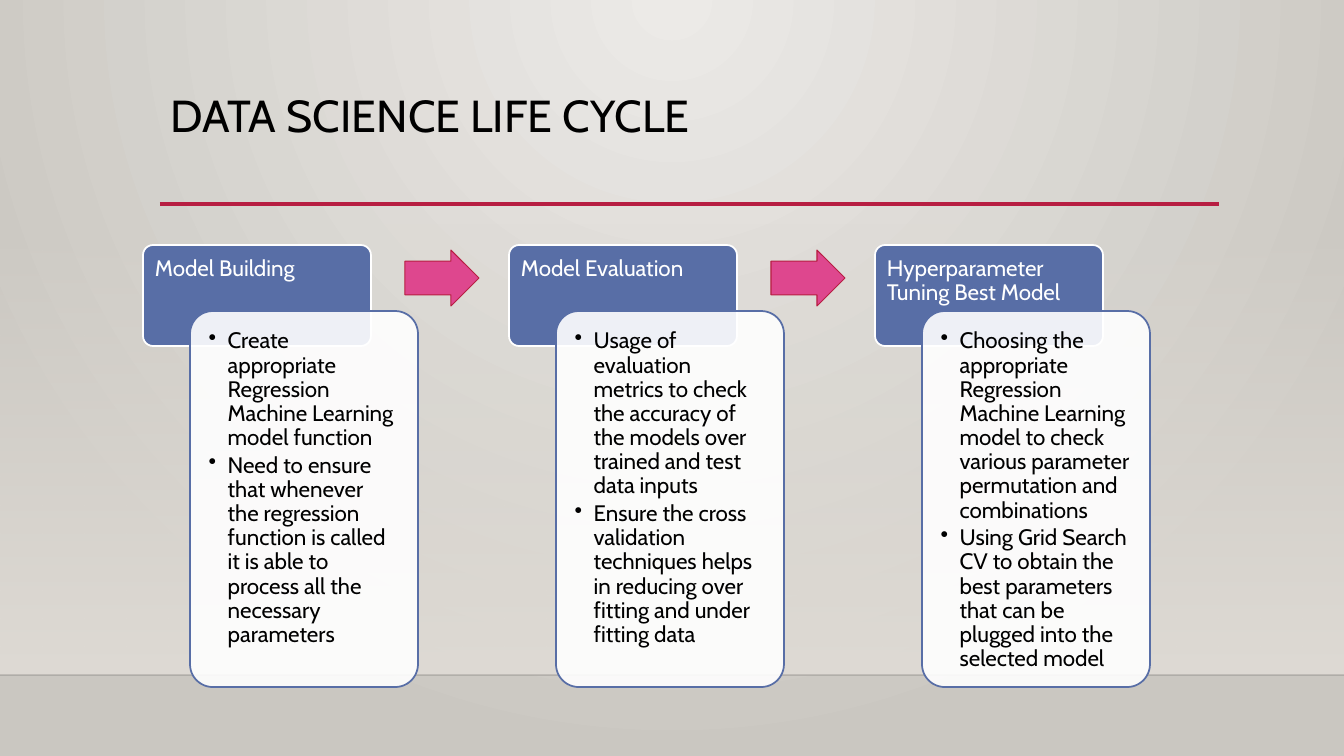
from lxml import etree
from pptx import Presentation
from pptx.dml.color import RGBColor
from pptx.enum.shapes import MSO_CONNECTOR, MSO_SHAPE
from pptx.enum.text import MSO_ANCHOR, PP_ALIGN
from pptx.oxml import parse_xml
from pptx.oxml.ns import nsdecls, qn
from pptx.util import Emu, Pt

PX = 914400 / 100.8
SLIDE_W, SLIDE_H = 1344, 756
HEADER_TOP, HEADER_H, BOX_W = 245, 101, 228
CARD_TOP, CARD_H, CARD_SHIFT = 311, 376, 47
ARROW_TOP, ARROW_W, ARROW_H, ARROW_SHIFT = 250, 74, 56, 262
FIRST_LEFT, STAGE_PITCH = 143, 366
BLUE, RED, PINK = "586EA6", "B71E42", "DE478E"

STAGES = [
    ("Model Building", [
        "Create appropriate Regression Machine Learning model function",
        "Need to ensure that whenever the regression function is called it is "
        "able to process all the necessary parameters"]),
    ("Model Evaluation", [
        "Usage of evaluation metrics to check the accuracy of the models over "
        "trained and test data inputs",
        "Ensure the cross validation techniques helps in reducing over fitting "
        "and under fitting data"]),
    ("Hyperparameter Tuning Best Model", [
        "Choosing the appropriate Regression Machine Learning model to check "
        "various parameter permutation and combinations",
        "Using Grid Search CV to obtain the best parameters that can be "
        "plugged into the selected model"]),
]


def px(*lengths):
    return [Emu(round(length * PX)) for length in lengths]


def color(hex_code):
    return RGBColor.from_string(hex_code)


prs = Presentation()
prs.slide_width, prs.slide_height = px(SLIDE_W, SLIDE_H)
slide = prs.slides.add_slide(prs.slide_layouts[5])
shapes = slide.shapes

# Background: radial gradient, centred on the top edge
backdrop = slide.background.fill
backdrop.gradient()
for stop, hex_code in zip(backdrop.gradient_stops, ("ECEAE7", "CAC7C1")):
    stop.color.rgb = color(hex_code)
linear = next(slide.background._cSld.iter(qn("a:lin")))
linear.getparent().replace(linear, parse_xml(
    f'<a:path {nsdecls("a")} path="circle">'
    '<a:fillToRect l="43000" t="0" r="43000" b="100000"/></a:path>'))

# Wall that fades in down to the floor
wall = shapes.add_shape(MSO_SHAPE.RECTANGLE, *px(0, 223, SLIDE_W, 452))
wall.shadow.inherit = False
wall.line.fill.background()
wall.fill.gradient()
wall.fill.gradient_angle = 270
for stop in wall.fill.gradient_stops:
    stop.color.rgb = color("DFDBD5")
wall_top = next(wall._element.spPr.iter(qn("a:srgbClr")))
etree.SubElement(wall_top, qn("a:alpha")).set("val", "0")

# Floor edge and title rule
for left, right, y, hex_code, weight, opacity in (
        (0, SLIDE_W, 675, "000001", 1, 20), (160, 1219, 204, RED, 2.5, 100)):
    rule = shapes.add_connector(MSO_CONNECTOR.STRAIGHT, *px(left, y, right, y))
    rule.line.color.rgb = color(hex_code)
    rule.line.width = Pt(weight)
    rule_color = next(rule._element.spPr.iter(qn("a:srgbClr")))
    etree.SubElement(rule_color, qn("a:alpha")).set("val", str(opacity * 1000))
    etree.SubElement(rule._element.spPr, qn("a:effectLst"))

title = shapes.title
title.left, title.top, title.width, title.height = px(160, 89, 1059, 116)
title.text_frame.text = "DATA SCIENCE LIFE CYCLE"
title.text_frame.vertical_anchor = MSO_ANCHOR.TOP
heading = title.text_frame.paragraphs[0]
heading.alignment = PP_ALIGN.LEFT
heading.line_spacing = 0.9
heading.runs[0].font.size = Pt(32)
heading.runs[0].font.name = "Cabin"
heading.runs[0].font.color.rgb = color("000000")


def add_box(kind, place, fill, line, weight, lines=(), ink="000000", inset=0):
    box = shapes.add_shape(kind, *px(*place))
    box.shadow.inherit = False
    box.fill.solid()
    box.fill.fore_color.rgb = color(fill)
    box.line.color.rgb = color(line)
    box.line.width = Pt(weight)
    if lines:
        frame = box.text_frame
        frame.word_wrap = True
        frame.vertical_anchor = MSO_ANCHOR.TOP
        frame.margin_left, frame.margin_top, frame.margin_right, frame.margin_bottom = px(*[inset] * 4)
        frame.text = "\n".join(lines)
        for paragraph in frame.paragraphs:
            paragraph.alignment = PP_ALIGN.LEFT
            paragraph.line_spacing = 0.9
            paragraph.space_after = Pt(2.4)
            font = paragraph.runs[0].font
            font.name, font.size = "Cabin", Pt(16)
            font.color.rgb = color(ink)
    return box


for index, (stage, points) in enumerate(STAGES):
    left = FIRST_LEFT + index * STAGE_PITCH
    header = add_box(MSO_SHAPE.ROUNDED_RECTANGLE, (left, HEADER_TOP, BOX_W, HEADER_H),
                     BLUE, "FFFFFF", 1.25, [stage], "FFFFFF", 9)
    card = add_box(MSO_SHAPE.ROUNDED_RECTANGLE,
                   (left + CARD_SHIFT, CARD_TOP, BOX_W, CARD_H),
                   "FFFFFF", BLUE, 1.25, points, inset=12)
    header.adjustments[0] = card.adjustments[0] = 0.1
    card_fill = next(card._element.spPr.iter(qn("a:srgbClr")))
    etree.SubElement(card_fill, qn("a:alpha")).set("val", "90000")
    for paragraph in card.text_frame.paragraphs:
        properties = paragraph._p.get_or_add_pPr()
        indent, = px(19)
        properties.set("marL", str(indent))
        properties.set("indent", str(-indent))
        etree.SubElement(properties, qn("a:buChar")).set("char", "•")
    if index < len(STAGES) - 1:
        arrow = add_box(MSO_SHAPE.RIGHT_ARROW,
                        (left + ARROW_SHIFT, ARROW_TOP, ARROW_W, ARROW_H), PINK, RED, 0.75)
        arrow.adjustments[0] = 0.6

prs.save("out.pptx")
